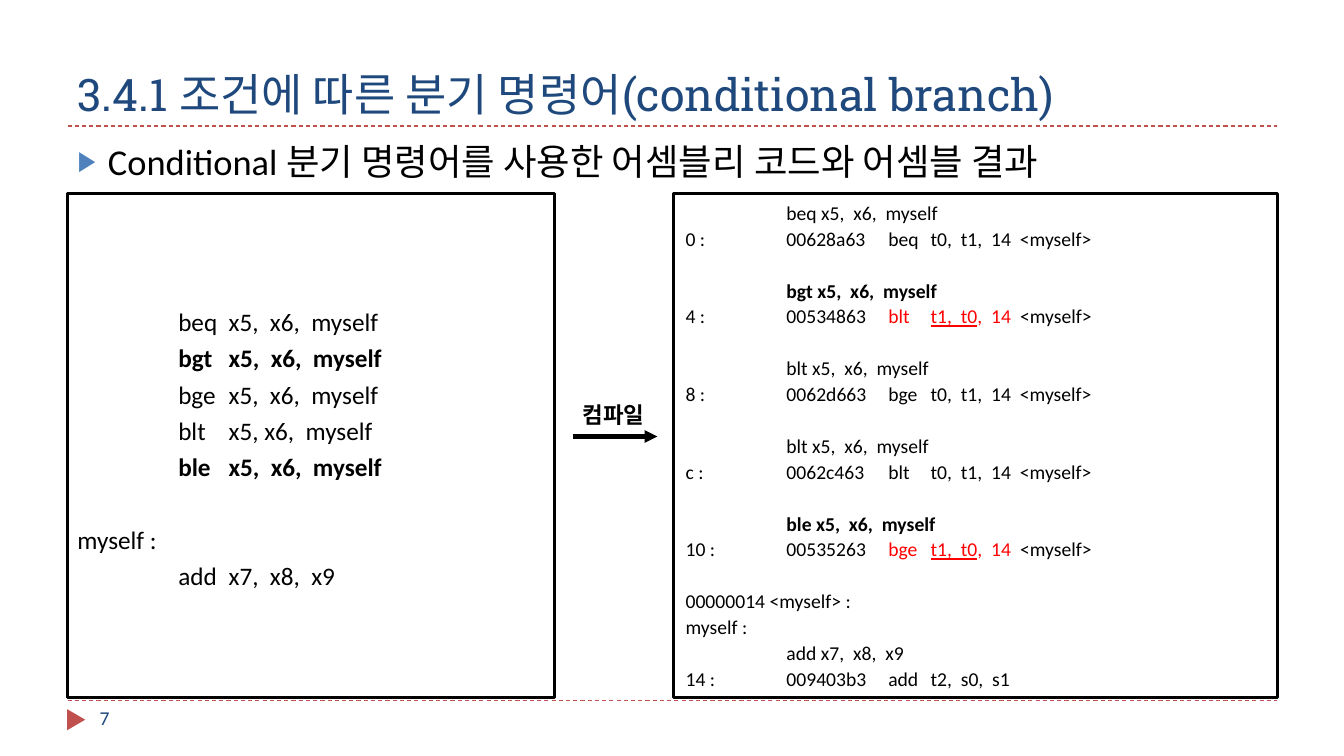
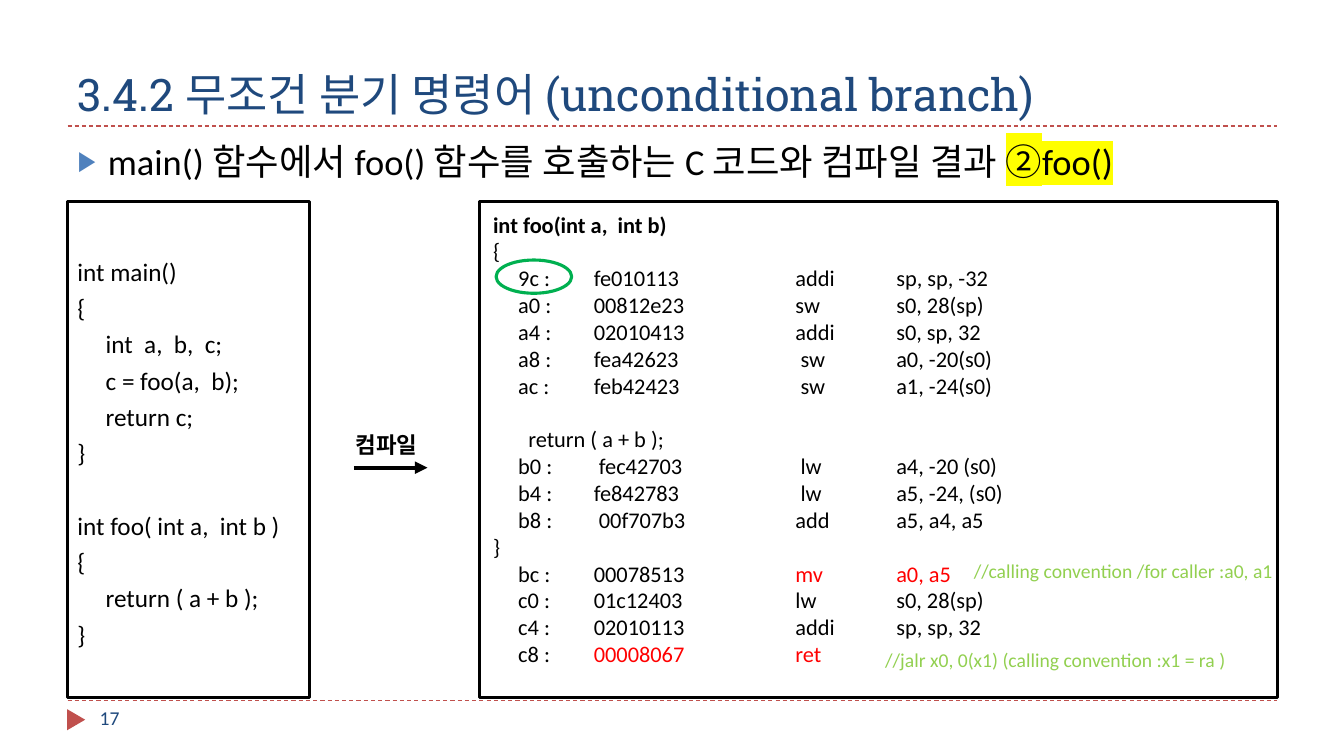
from dataclasses import dataclass
from typing import NamedTuple, Optional, Union

from lxml import etree
from pptx import Presentation
from pptx.dml.color import RGBColor
from pptx.enum.dml import MSO_LINE
from pptx.enum.shapes import MSO_CONNECTOR, MSO_SHAPE
from pptx.enum.text import MSO_ANCHOR, MSO_AUTO_SIZE, PP_ALIGN
from pptx.oxml.ns import qn
from pptx.util import Emu, Pt

# Shared style
PX = 9144  # 100 px to the inch
BLACK = RGBColor(0x00, 0x00, 0x00)
NAVY = RGBColor(0x1F, 0x49, 0x7D)
BLUE = RGBColor(0x4F, 0x81, 0xBD)
BRICK = RGBColor(0xC0, 0x50, 0x4D)
RED = RGBColor(0xFF, 0x00, 0x00)
GREEN = RGBColor(0x00, 0xB0, 0x50)
LIME = RGBColor(0x92, 0xD0, 0x50)
YELLOW = RGBColor(0xFF, 0xFF, 0x00)
TITLE_FONT, BODY_FONT = "Roboto Slab", "Calibri"
LEFT, RIGHT = 67, 1267
RULES = (125, 695)

STRAIGHT = MSO_CONNECTOR.STRAIGHT
RECT, OVAL, TRIANGLE = MSO_SHAPE.RECTANGLE, MSO_SHAPE.OVAL, MSO_SHAPE.ISOSCELES_TRIANGLE
TOP, MIDDLE, BOTTOM = MSO_ANCHOR.TOP, MSO_ANCHOR.MIDDLE, MSO_ANCHOR.BOTTOM
ALIGN_LEFT = PP_ALIGN.LEFT
DASH = MSO_LINE.DASH
NO_FIT = MSO_AUTO_SIZE.NONE


class Box(NamedTuple):
    x: int
    y: int
    w: int
    h: int


class Span(NamedTuple):
    text: str
    bold: bool = False
    color: RGBColor = BLACK
    underline: bool = False
    highlight: Optional[RGBColor] = None


Part = Union[str, Span]
Line = tuple[Part, ...]


@dataclass
class Code:
    """A framed listing; blocks are set apart by one line of space."""
    box: Box
    blocks: list[list[Line]]
    size: int
    gap: float
    tabs: tuple[int, ...]
    spacing: float = 1.0
    anchor: MSO_ANCHOR = TOP
    inset: tuple[int, int] = (10, 5)


@dataclass
class Note:
    box: Box
    span: Span
    size: int = 14


@dataclass
class Page:
    number: int
    title: str
    lead: Line
    codes: list[Code]
    arrow: tuple[int, int, int]
    notes: list[Note]
    rings: list[Box]


# Drawing helpers
def emu(box: Box) -> list[Emu]:
    return [Emu(v * PX) for v in box]


def sub(parent, tag: str, **attrs: str):
    return etree.SubElement(parent, qn(tag), attrs)


def add_spans(p, line: Line, size: int, font: str = BODY_FONT) -> None:
    for part in line:
        span = Span(part) if isinstance(part, str) else part
        r = p.add_run()
        r.text = span.text
        r.font.size, r.font.name = Pt(size), font
        r.font.bold, r.font.underline = span.bold, span.underline
        r.font.color.rgb = span.color
        if span.highlight is not None:
            mark = etree.Element(qn("a:highlight"))
            sub(mark, "a:srgbClr", val=str(span.highlight))
            r.font.fill._xPr.find(qn("a:solidFill")).addnext(mark)


def add_line(slide, x1: int, x2: int, y: int, color: RGBColor, width: float):
    c = slide.shapes.add_connector(STRAIGHT, *emu(Box(x1, y, x2, y)))
    c.line.color.rgb, c.line.width = color, Pt(width)
    sub(c._element.spPr, "a:effectLst")
    return c


def add_outline(slide, kind: MSO_SHAPE, box: Box, color: RGBColor):
    sp = slide.shapes.add_shape(kind, *emu(box))
    sp.shadow.inherit = False
    sp.fill.background()
    sp.line.color.rgb, sp.line.width = color, Pt(2.25)
    return sp


def add_code(slide, code: Code) -> None:
    tf = add_outline(slide, RECT, code.box, BLACK).text_frame
    tf.word_wrap, tf.vertical_anchor = True, code.anchor
    tf.margin_left, tf.margin_top = (Emu(v * PX) for v in code.inset)
    tf.margin_right = 0
    p = None
    for b, block in enumerate(code.blocks):
        for i, line in enumerate(block):
            p = tf.paragraphs[0] if p is None else tf.add_paragraph()
            p.alignment, p.line_spacing = ALIGN_LEFT, code.spacing
            if b and i == 0:
                p.space_before = Pt(code.gap)
            stops = sub(p._p.get_or_add_pPr(), "a:tabLst")
            for tab in code.tabs:
                sub(stops, "a:tab", pos=str(tab * PX), algn="l")
            add_spans(p, line, code.size)


def add_note(slide, note: Note) -> None:
    tf = slide.shapes.add_textbox(*emu(note.box)).text_frame
    tf.word_wrap = True
    add_spans(tf.paragraphs[0], (note.span,), note.size)


def fill_placeholder(sp, box: Box, anchor: MSO_ANCHOR):
    sp.left, sp.top, sp.width, sp.height = emu(box)
    tf = sp.text_frame
    tf.auto_size, tf.vertical_anchor, tf.word_wrap = NO_FIT, anchor, True
    p = tf.paragraphs[0]
    p.alignment = ALIGN_LEFT
    return p


def add_frame(slide, page: Page) -> None:
    # Rules and page marker
    for y in RULES:
        add_line(slide, LEFT, RIGHT, y, BRICK, 0.75).line.dash_style = DASH
    sp = slide.shapes.add_shape(TRIANGLE, *emu(Box(65, 705, 21, 18)))
    sp.rotation = 90
    sp.shadow.inherit = False
    sp.fill.solid()
    sp.fill.fore_color.rgb = BRICK
    sp.line.fill.background()
    add_note(slide, Note(Box(89, 695, 289, 40), Span(str(page.number), color=NAVY)))

    # Title and lead bullet
    p = fill_placeholder(slide.shapes.title, Box(LEFT, 17, RIGHT - LEFT, 108), BOTTOM)
    add_spans(p, (Span(page.title, color=NAVY),), 32, TITLE_FONT)
    p = fill_placeholder(slide.placeholders[1], Box(LEFT, 133, RIGHT - LEFT, 540), TOP)
    p.space_before = Pt(6)
    pPr = p._p.get_or_add_pPr()
    pPr.set("marL", str(30 * PX))
    pPr.set("indent", str(-30 * PX))
    sub(sub(pPr, "a:buClr"), "a:srgbClr", val=str(BLUE))
    sub(pPr, "a:buSzPct", val="76000")
    sub(pPr, "a:buChar", char="▶")
    add_spans(p, page.lead, 26)


def add_page(prs, page: Page) -> None:
    slide = prs.slides.add_slide(prs.slide_layouts[1])
    add_frame(slide, page)
    for code in page.codes:
        add_code(slide, code)
    arrow = add_line(slide, *page.arrow, BLACK, 3)
    sub(arrow.line._get_or_add_ln(), "a:tailEnd", type="triangle")
    for ring in page.rings:
        add_outline(slide, OVAL, ring, GREEN)
    for note in page.notes:
        add_note(slide, note)


# Content
def bold(text: str) -> Span:
    return Span(text, bold=True)


def red(text: str, underline: bool = False) -> Span:
    return Span(text, color=RED, underline=underline)


def swapped(label: str, op: str) -> Line:
    """Assembled line whose operands the assembler has exchanged."""
    return (label, red(f"{op}\t"), red("t1,  t0", True), red(",  14"), "  <myself>")


COMPILE = Span("컴파일", bold=True)

CONDITIONAL = Page(
    7, "3.4.1 조건에 따른 분기 명령어(conditional branch)",
    ("Conditional 분기 명령어를 사용한 어셈블리 코드와 어셈블 결과",),
    [
        Code(Box(LEFT, 192, 483, 500), [
            [("\tbeq\tx5,  x6,  myself",),
             (bold("\tbgt\tx5,  x6,  myself"),),
             ("\tbge\tx5,  x6,  myself",),
             ("\tblt\tx5, x6,  myself",),
             (bold("\tble\tx5,  x6,  myself"),)],
            [("myself :",), ("\tadd\tx7,  x8,  x9",)],
        ], 18, 26, (100, 150), 1.2, MIDDLE),
        Code(Box(668, 192, 599, 500), [
            [("\tbeq x5,  x6,  myself",),
             ("0 :\t00628a63\tbeq\tt0,  t1,  14  <myself>",)],
            [(bold("\tbgt x5,  x6,  myself"),), swapped("4 :\t00534863\t", "blt")],
            [("\tblt x5,  x6,  myself",),
             ("8 :\t0062d663\tbge\tt0,  t1,  14  <myself>",)],
            [("\tblt x5,  x6,  myself",),
             ("c :\t0062c463\tblt\tt0,  t1,  14  <myself>",)],
            [(bold("\tble x5,  x6,  myself"),), swapped("10 :\t00535263\t", "bge")],
            [("00000014 <myself> :",), ("myself :",), ("\tadd x7,  x8,  x9",),
             ("14 :\t009403b3\tadd\tt2,  s0,  s1",)],
        ], 14, 18.5, (100, 201, 243), 1.1, inset=(12, 5)),
    ],
    (568, 652, 433),
    [Note(Box(568, 393, 100, 37), COMPILE, 16)],
    [],
)

UNCONDITIONAL = Page(
    17, "3.4.2 무조건 분기 명령어 (unconditional branch)",
    ("main() 함수에서 foo() 함수를 호출하는 C 코드와 컴파일 결과 ",
     Span("②foo()", highlight=YELLOW)),
    [
        Code(Box(LEFT, 200, 240, 492), [
            [("int main()",), ("{",), ("\tint  a,  b,  c;",),
             ("\tc = foo(a,  b);",), ("\treturn c;",), ("}",)],
            [("int foo( int a,  int b )",), ("{",), ("\treturn ( a + b );",), ("}",)],
        ], 18, 26, (28,), 1.2, MIDDLE),
        Code(Box(476, 200, 791, 492), [
            [(bold("int foo(int a,  int b)"),),
             ("{",),
             ("\t9c :\tfe010113\taddi\tsp, sp, -32",),
             ("\ta0 :\t00812e23\tsw\ts0, 28(sp)",),
             ("\ta4 :\t02010413\taddi\ts0, sp, 32",),
             ("\ta8 :\tfea42623\t sw\ta0, -20(s0)",),
             ("\tac :\tfeb42423\t sw\ta1, -24(s0)",)],
            [("\t\treturn ( a + b );",),
             ("\tb0 :\t fec42703\t lw\ta4, -20 (s0)",),
             ("\tb4 :\tfe842783\t lw\ta5, -24, (s0)",),
             ("\tb8 :\t 00f707b3\tadd\ta5, a4, a5",),
             ("}",),
             ("\tbc :\t00078513\t", red("mv\ta0, a5")),
             ("\tc0 :\t01c12403\tlw\ts0, 28(sp)",),
             ("\tc4 :\t02010113\taddi\tsp, sp, 32",),
             ("\tc8 :\t", red("00008067\tret"))],
        ], 16, 19, (25, 35, 100, 300, 400), inset=(13, 9)),
    ],
    (351, 424, 464),
    [Note(Box(343, 423, 97, 37), COMPILE, 16),
     Note(Box(956, 550, 325, 34),
          Span("//calling convention /for caller :a0, a1", color=LIME)),
     Note(Box(868, 638, 370, 34),
          Span("//jalr x0, 0(x1) (calling convention :x1 = ra )", color=LIME))],
    [Box(492, 258, 75, 33)],
)


def main() -> None:
    prs = Presentation()
    prs.slide_width, prs.slide_height = Emu(1333 * PX), Emu(750 * PX)
    for page in (CONDITIONAL, UNCONDITIONAL):
        add_page(prs, page)
    prs.save("out.pptx")


if __name__ == "__main__":
    main()
